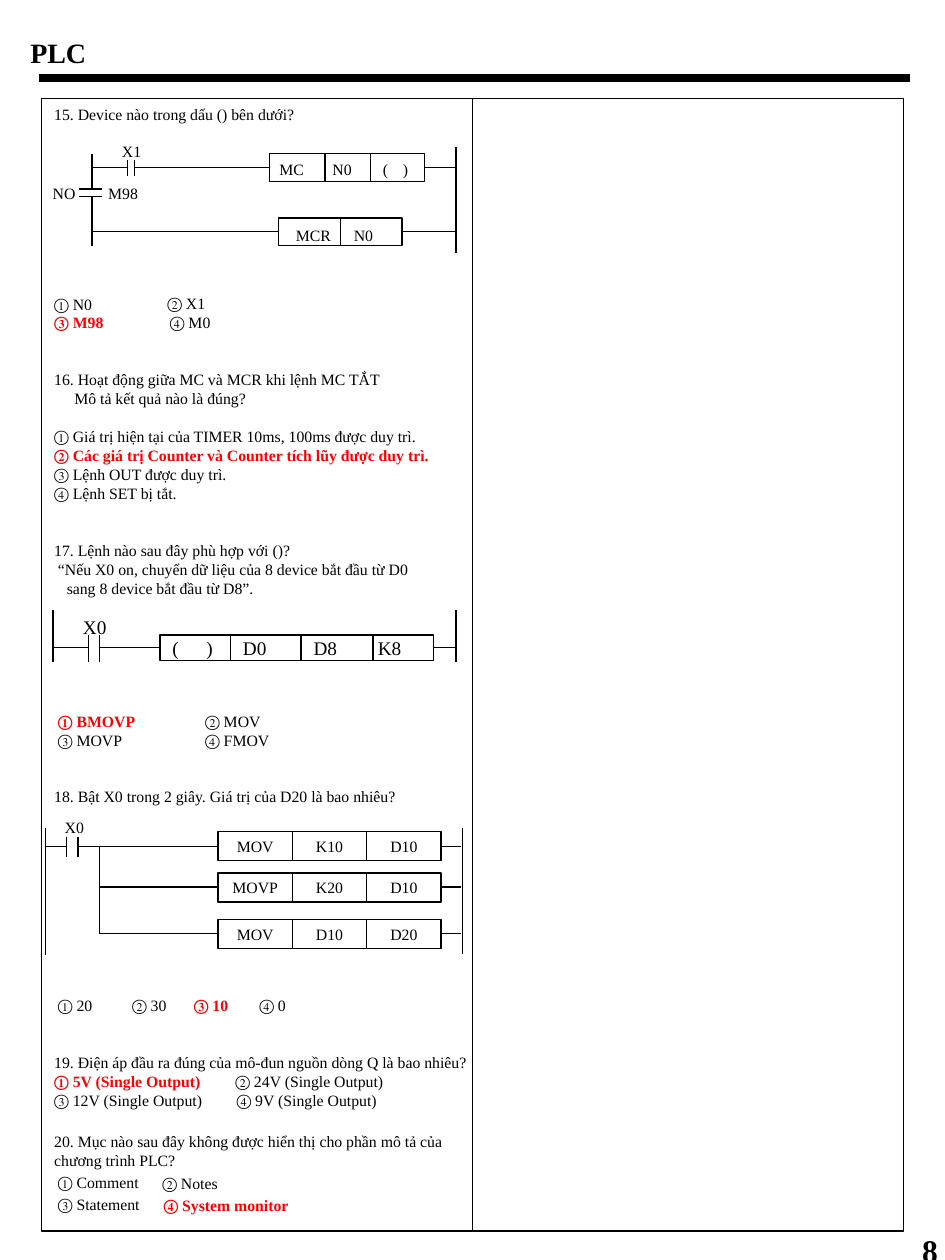
from lxml.etree import SubElement
from pptx import Presentation
from pptx.dml.color import RGBColor
from pptx.enum.shapes import MSO_CONNECTOR, MSO_SHAPE
from pptx.enum.text import MSO_ANCHOR, MSO_AUTO_SIZE, PP_ALIGN
from pptx.oxml.ns import qn
from pptx.util import Inches, Pt

THEME = dict(font="Times New Roman", ink=RGBColor(0, 0, 0), answer=RGBColor(255, 0, 0),
             paper=RGBColor(255, 255, 255), title=16, page=18, body=9, block=11,
             pitch=10.84, thin=0.75, thick=4.5)
COLUMN = (0.33, 0.78, 3.42, 8.99)
LINE_CHARS = 64  # longer questions take two lines

# Questions: lines of space before, indent, text, further options on the line
# as (offset, text); "*" marks the answer
QUESTIONS = [
    (0, 0, "15. Device nào trong dấu () bên dưới?", []),
    (9, 0, "① N0", [(0.9, "② X1")]),
    (0, 0, "*③ M98", [(0.92, "④ M0")]),
    (2, 0, "16. Hoạt động giữa MC và MCR khi lệnh MC TẮT", []),
    (0, 0.16, "Mô tả kết quả nào là đúng?", []),
    (1, 0, "① Giá trị hiện tại của TIMER 10ms, 100ms được duy trì.", []),
    (0, 0, "*② Các giá trị Counter và Counter tích lũy được duy trì.", []),
    (0, 0, "③ Lệnh OUT được duy trì.", []),
    (0, 0, "④ Lệnh SET bị tắt.", []),
    (2, 0, "17. Lệnh nào sau đây phù hợp với ()?", []),
    (0, 0.03, "“Nếu X0 on, chuyển dữ liệu của 8 device bắt đầu từ D0", []),
    (0, 0.1, "sang 8 device bắt đầu từ D8”.", []),
    (6, 0.03, "*① BMOVP", [(1.2, "② MOV")]),
    (0, 0.03, "③ MOVP", [(1.2, "④ FMOV")]),
    (2, 0, "18. Bật X0 trong 2 giây. Giá trị của D20 là bao nhiêu?", []),
    (10, 0.03, "① 20", [(0.62, "② 30"), (1.11, "*③ 10"), (1.63, "④ 0")]),
    (2, 0, "19. Điện áp đầu ra đúng của mô-đun nguồn dòng Q là bao nhiêu?", []),
    (0, 0, "*① 5V (Single Output)", [(1.44, "② 24V (Single Output)")]),
    (0, 0, "③ 12V (Single Output)", [(1.45, "④ 9V (Single Output)")]),
    (1.17, 0, "20. Mục nào sau đây không được hiển thị cho phần mô tả của chương trình PLC?", []),
    (0.17, 0.03, "① Comment", [(0.86, "② Notes")]),
    (0.17, 0.03, "③ Statement", [(0.87, "*④ System monitor")]),
]

# Ladder wires: x1, y1, x2, y2
MC_WIRES = [
    (0.73, 1.22, 0.73, 1.5), (0.63, 1.5, 0.81, 1.5), (0.63, 1.56, 0.81, 1.56),
    (0.73, 1.56, 0.73, 1.95), (0.73, 1.33, 1.01, 1.33), (1.01, 1.27, 1.01, 1.4),
    (1.07, 1.27, 1.07, 1.4), (3.62, 1.17, 3.62, 2.01),
    (2.58, 1.22, 2.58, 1.44), (2.94, 1.22, 2.94, 1.44), (2.7, 1.73, 2.7, 1.95),
]
# Labels: left, top, width, text
MC_LABELS = [
    (0.32, 1.41, 0.39, "NO"), (0.76, 1.41, 0.55, "M98"), (0.87, 1.08, 0.36, "X1"),
    (2.12, 1.22, 0.5, "MC"), (2.54, 1.22, 0.45, "N0"),
    (2.94, 1.22, 0.26, "("), (3.1, 1.22, 0.26, ")"),
    (2.25, 1.74, 0.55, "MCR"), (2.71, 1.74, 0.45, "N0"),
]
BMOV_WIRES = [(0.42, 4.84, 0.42, 5.25), (0.42, 5.14, 0.7, 5.14), (0.7, 5.04, 0.7, 5.25),
              (0.79, 5.04, 0.79, 5.25), (3.62, 4.84, 3.62, 5.25)]
# Cells: left, indent, text; the last one overlaps its neighbour
BMOV_CELLS = [(1.27, 0, "("), (1.83, 0, "D0"), (2.87, 0.03, "K8"), (2.39, 0, "D8")]
MOV_WIRES = [(0.36, 6.57, 0.36, 7.58), (0.36, 6.72, 0.53, 6.72), (0.53, 6.64, 0.53, 6.8),
             (0.62, 6.64, 0.62, 6.8), (3.67, 6.57, 3.67, 7.57), (0.62, 6.72, 3.66, 6.72),
             (0.79, 6.72, 0.79, 7.41), (0.79, 7.04, 3.66, 7.04), (0.79, 7.41, 3.66, 7.41)]
MOV_ROWS = [(6.6, ["MOV", "K10", "D10"]), (6.93, ["MOVP", "K20", "D10"]),
            (7.3, ["MOV", "D10", "D20"])]


def add_text(p, text, size, align=PP_ALIGN.LEFT, indent=0.0, bold=False):
    pPr = p._p.get_or_add_pPr()
    pPr.set("marL", str(Inches(indent)))
    pPr.set("indent", "0")
    SubElement(pPr, qn("a:buNone"))
    p.alignment = align
    answer = text.startswith("*")
    r = p.add_run()
    r.text = text.lstrip("*")
    r.font.name, r.font.size = THEME["font"], Pt(size)
    r.font.bold = bold or answer
    r.font.color.rgb = THEME["answer" if answer else "ink"]


def place(sp, x, y, w, h):
    sp.left, sp.top, sp.width, sp.height = (Inches(v) for v in (x, y, w, h))


def outline(sp):
    sp.line.color.rgb = THEME["ink"]
    sp.line.width = Pt(THEME["thin"])


def add_wire(shapes, x1, y1, x2, y2, start=None, end=None, width=THEME["thin"]):
    c = shapes.add_connector(MSO_CONNECTOR.STRAIGHT, *(Inches(v) for v in (x1, y1, x2, y2)))
    c.line.color.rgb, c.line.width = THEME["ink"], Pt(width)
    SubElement(c._element.spPr, qn("a:effectLst"))
    if start is not None:
        c.begin_connect(start, 3)
    if end is not None:
        c.end_connect(end, 1)


def add_box(shapes, x, y, w, h, filled=False):
    sp = shapes.add_shape(MSO_SHAPE.RECTANGLE, *(Inches(v) for v in (x, y, w, h)))
    sp.shadow.inherit = False
    outline(sp)
    if filled:
        sp.fill.solid()
        sp.fill.fore_color.rgb = THEME["paper"]
    else:
        sp.fill.background()
    return sp


def add_cell(shapes, x, y, w, h, text, size, align, indent=0.0):
    sp = add_box(shapes, x, y, w, h, filled=True)
    sp.text_frame.vertical_anchor = MSO_ANCHOR.MIDDLE
    add_text(sp.text_frame.paragraphs[0], text, size, align, indent)
    return sp


def add_label(shapes, x, y, w, h, text, size, align=PP_ALIGN.LEFT, bold=False):
    tf = shapes.add_textbox(*(Inches(v) for v in (x, y, w, h))).text_frame
    tf.word_wrap = True
    add_text(tf.paragraphs[0], text, size, align, bold=bold)
    return tf.paragraphs[0]


prs = Presentation()
prs.slide_width, prs.slide_height = Inches(7.5), Inches(10)
s = prs.slides.add_slide(prs.slide_layouts[1])

# Title and header rule
title, body = s.shapes.title, s.placeholders[1]
place(title, 0.14, 0.23, 0.71, 0.37)
tf = title.text_frame
tf.word_wrap, tf.auto_size, tf.vertical_anchor = False, MSO_AUTO_SIZE.NONE, MSO_ANCHOR.TOP
add_text(tf.paragraphs[0], "PLC", THEME["title"], bold=True)
add_wire(s.shapes, 0.31, 0.62, 7.22, 0.62, width=THEME["thick"])

# Question column, with further options set beside the first on their line
place(body, *COLUMN)
outline(body)
tf = body.text_frame
tf.word_wrap, tf.auto_size, tf.margin_right = True, MSO_AUTO_SIZE.NONE, 0
line = 0
for i, (gap, indent, text, options) in enumerate(QUESTIONS):
    p = tf.add_paragraph() if i else tf.paragraphs[0]
    add_text(p, text, THEME["body"], indent=indent)
    p.line_spacing, p.space_before = Pt(THEME["pitch"]), Pt(gap * THEME["pitch"])
    line += gap
    for offset, option in options:
        y = COLUMN[1] + line * THEME["pitch"] / 72
        label = add_label(s.shapes, COLUMN[0] + offset, y, 1.6, 0.25, option, THEME["body"])
        label.line_spacing = Pt(THEME["pitch"])
    line += 2 if len(text) > LINE_CHARS else 1

# Empty column
add_box(s.shapes, 3.75, 0.78, 3.42, 8.99)

# Question 15: MC and MCR ladder
g = s.shapes.add_group_shape().shapes
mc = add_box(g, 2.14, 1.22, 1.23, 0.22)
mcr = add_box(g, 2.21, 1.73, 0.98, 0.22)
for wire in MC_WIRES:
    add_wire(g, *wire)
for x, y, block in [(1.07, 1.33, mc), (0.73, 1.84, mcr)]:
    add_wire(g, x, y, 2.2, y, end=block)
    add_wire(g, 3.3, y, 3.62, y, start=block)
for x, y, w, text in MC_LABELS:
    add_label(g, x, y, w, 0.23, text, THEME["body"])

# Question 17: block move ladder
g = s.shapes.add_group_shape().shapes
for wire in BMOV_WIRES:
    add_wire(g, *wire)
cells = [add_cell(g, x, 5.04, 0.57, 0.2, text, THEME["block"], PP_ALIGN.LEFT, indent)
         for x, indent, text in BMOV_CELLS]
add_wire(g, 0.79, 5.14, 1.27, 5.14, end=cells[0])
add_wire(g, 3.44, 5.14, 3.62, 5.14, start=cells[2])
add_label(g, 0.56, 4.83, 0.4, 0.29, "X0", THEME["block"])
add_label(g, 1.54, 5.0, 0.28, 0.28, ")", THEME["block"])

# Question 18: move ladder
g = s.shapes.add_group_shape().shapes
for wire in MOV_WIRES:
    add_wire(g, *wire)
add_label(g, 0.41, 6.44, 0.36, 0.25, "X0", THEME["body"], PP_ALIGN.CENTER)
for y, row in MOV_ROWS:
    for col, text in enumerate(row):
        add_cell(g, 1.73 + col * 0.59, y, 0.59, 0.23, text, THEME["body"], PP_ALIGN.CENTER)

# Page number
add_label(s.shapes, 7.22, 9.72, 0.23, 0.4, "8", THEME["page"], bold=True)

prs.save("out.pptx")
